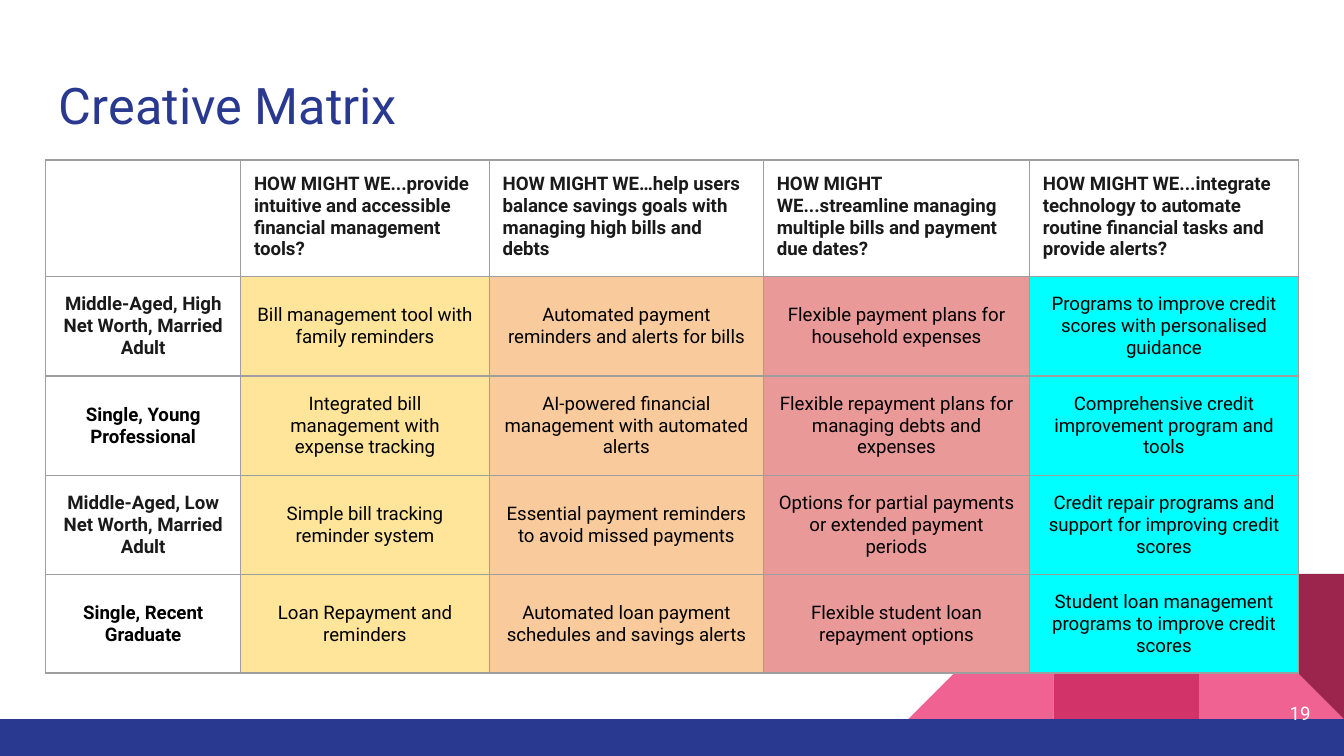
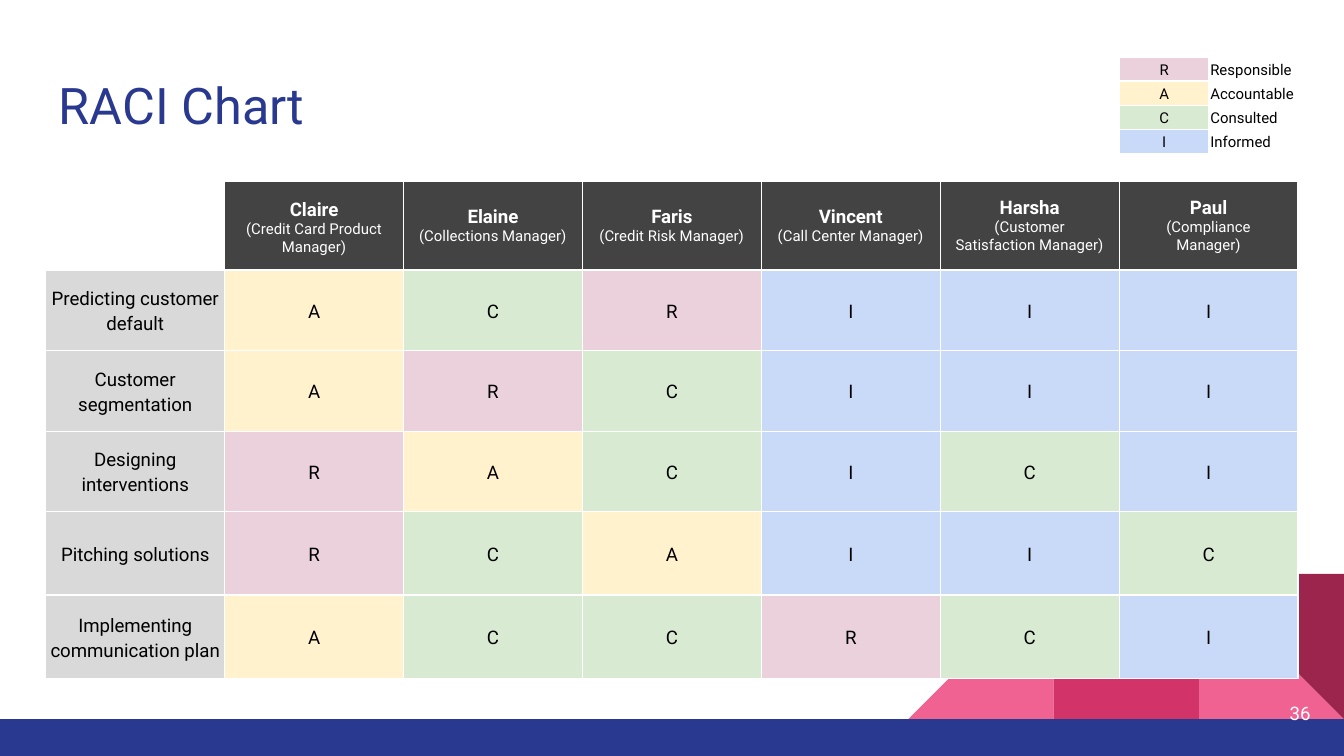
from dataclasses import dataclass

from lxml import etree
from pptx import Presentation
from pptx.dml.color import RGBColor
from pptx.enum import shapes, text
from pptx.oxml import ns
from pptx.util import Inches, Pt


@dataclass(frozen=True)
class Theme:
    font: str = "Roboto"
    title_size: float = 27
    body_size: float = 10
    small_size: float = 8
    navy: str = "2A3990"
    pink: str = "F06292"
    rose: str = "D23369"
    wine: str = "9C254D"
    white: str = "FFFFFF"
    black: str = "000000"
    ink: str = "1A1A1A"
    grid: str = "9E9E9E"
    header: str = "434343"
    label: str = "D9D9D9"


THEME = Theme()
LEFT, WIDTH = 0.34, 9.32
CENTER, RIGHT = text.PP_ALIGN.CENTER, text.PP_ALIGN.RIGHT
MIDDLE, TOP = text.MSO_ANCHOR.MIDDLE, text.MSO_ANCHOR.TOP

IDEA_COLUMNS = [1.45, 1.85, 2.04, 1.98, 2]
IDEA_ROWS = [0.79, 0.74, 0.74, 0.74, 0.73]
IDEA_FILLS = ["FFE599", "F9CB9C", "EA9999", "00FFFF"]
QUESTIONS = [
    "HOW MIGHT WE...provide intuitive and accessible financial management tools?",
    "HOW MIGHT WE…help users balance savings goals with managing high bills and debts",
    "HOW MIGHT WE...streamline managing multiple bills and payment due dates?",
    "HOW MIGHT WE...integrate technology to automate routine financial tasks and provide alerts?",
]
# Customer segment, label colour, one idea per question
SEGMENTS = [
    ("Middle-Aged, High Net Worth, Married Adult", THEME.ink, [
        "Bill management tool with family reminders",
        "Automated payment reminders and alerts for bills",
        "Flexible payment plans for household expenses",
        "Programs to improve credit scores with personalised guidance"]),
    ("Single, Young Professional", THEME.black, [
        "Integrated bill management with expense tracking",
        "AI-powered financial management with automated alerts",
        "Flexible repayment plans for managing debts and expenses",
        "Comprehensive credit improvement program and tools"]),
    ("Middle-Aged, Low Net Worth, Married Adult", THEME.ink, [
        "Simple bill tracking reminder system",
        "Essential payment reminders to avoid missed payments",
        "Options for partial payments or extended payment periods",
        "Credit repair programs and support for improving credit scores"]),
    ("Single, Recent Graduate", THEME.black, [
        "Loan Repayment and reminders",
        "Automated loan payment schedules and savings alerts",
        "Flexible student loan repayment options",
        "Student loan management programs to improve credit scores"]),
]

ROLES = {
    "R": ("Responsible", "EAD1DC"),
    "A": ("Accountable", "FFF2CC"),
    "C": ("Consulted", "D9EAD3"),
    "I": ("Informed", "C9DAF8"),
}
PEOPLE = [
    ("Claire", "(Credit Card Product Manager)"),
    ("Elaine", "(Collections Manager)"),
    ("Faris", "(Credit Risk Manager)"),
    ("Vincent", "(Call Center Manager)"),
    ("Harsha", "(Customer Satisfaction Manager)"),
    ("Paul", "(Compliance Manager)"),
]
TASKS = [
    ("Predicting customer default", "ACRIII"),
    ("Customer segmentation", "ARCIII"),
    ("Designing interventions", "RACICI"),
    ("Pitching solutions", "RCAIIC"),
    ("Implementing communication plan", "ACCRCI"),
]
RACI_ROWS = [0.62, 0.6, 0.6, 0.6, 0.62, 0.62]
LEGEND_ROWS = [0.11, 0.18, 0.18, 0.18]


def write(frame, value, *, size=THEME.body_size, color=THEME.black, bold=False,
          align=None, line=None, before=None, after=None):
    """Fill the frame's empty first paragraph, or append another one."""
    para = frame.paragraphs[0]
    if para.runs:
        para = frame.add_paragraph()
    para.alignment = align
    para.line_spacing = line
    para.space_before = None if before is None else Pt(before)
    para.space_after = None if after is None else Pt(after)
    span = para.add_run()
    span.text = value
    span.font.name = THEME.font
    span.font.size = Pt(size)
    span.font.bold = bold
    span.font.color.rgb = RGBColor.from_string(color)


def add_label(page, left, top, width, height, value, anchor=TOP, **style):
    box = page.shapes.add_textbox(*map(Inches, (left, top, width, height)))
    frame = box.text_frame
    frame.word_wrap = True
    frame.vertical_anchor = anchor
    frame.margin_left = frame.margin_right = Inches(0.1)
    frame.margin_top = frame.margin_bottom = Inches(0.1)
    write(frame, value, **style)


def add_block(holder, kind, left, top, width, height, color):
    block = holder.shapes.add_shape(kind, *map(Inches, (left, top, width, height)))
    block.shadow.inherit = False
    block.fill.solid()
    block.fill.fore_color.rgb = RGBColor.from_string(color)
    block.line.fill.background()
    return block


def add_decoration(page):
    """Folded ribbon in the corner and the band along the bottom."""
    triangle = shapes.MSO_SHAPE.RIGHT_TRIANGLE
    square = shapes.MSO_SHAPE.RECTANGLE
    side, top = 1.08, 4.27
    left, middle, right = (10 - side * count for count in (3, 2, 1))
    group = page.shapes.add_group_shape()
    add_block(group, triangle, right, top, side, side, THEME.pink)
    mirrored = add_block(group, triangle, left, top, side, side, THEME.pink)
    mirrored._element.spPr.get_or_add_xfrm().set("flipH", "1")
    add_block(group, square, middle, top, side, side, THEME.rose)
    add_block(group, triangle, right, top, side, side, THEME.wine).rotation = 180
    add_block(group, square, 0, 5.35, 10, 0.28, THEME.navy)


def add_page(deck, title):
    page = deck.slides.add_slide(deck.slide_layouts[6])
    add_decoration(page)
    add_label(page, LEFT, 0.45, WIDTH, 0.66, title,
              size=THEME.title_size, color=THEME.navy)
    return page


def add_page_number(page, number):
    add_label(page, 9.25, 5.09, 0.6, 0.43, number, MIDDLE,
              color=THEME.white, align=RIGHT)


def set_borders(cell, color):
    properties = cell._tc.get_or_add_tcPr()
    for side in ("lnL", "lnR", "lnT", "lnB"):
        edge = etree.SubElement(properties, ns.qn(f"a:{side}"), w=str(Pt(0.75)))
        fill = etree.SubElement(edge, ns.qn("a:solidFill"))
        etree.SubElement(fill, ns.qn("a:srgbClr"), val=color)


def add_grid(page, left, top, columns, rows, border):
    """Add a plain table with unfilled, bordered cells."""
    frame = page.shapes.add_table(
        len(rows), len(columns), Inches(left), Inches(top),
        Inches(sum(columns)), Inches(sum(rows)))
    table = frame.table
    table.first_row = table.horz_banding = False
    for column, width in zip(table.columns, columns):
        column.width = Inches(width)
    for row, height in zip(table.rows, rows):
        row.height = Inches(height)
    for cell in table.iter_cells():
        set_borders(cell, border)
        cell.fill.background()
    return table


def format_cell(cell, fill=None, margin=0.1, anchor=MIDDLE):
    """Set the cell's look and return its text frame."""
    cell.margin_left = cell.margin_right = Inches(margin)
    cell.margin_top = cell.margin_bottom = Inches(margin)
    cell.vertical_anchor = anchor
    if fill:
        cell.fill.solid()
        cell.fill.fore_color.rgb = RGBColor.from_string(fill)
    return cell.text_frame


def fill_tight(cell, value, fill, align=CENTER, size=THEME.body_size):
    write(format_cell(cell, fill, margin=0.01), value,
          size=size, align=align, line=1.15, before=12)


def add_creative_matrix(page):
    table = add_grid(page, LEFT, 1.19, IDEA_COLUMNS, IDEA_ROWS, THEME.grid)
    for column, question in enumerate(QUESTIONS, 1):
        write(format_cell(table.cell(0, column), anchor=TOP), question,
              color=THEME.ink, bold=True, before=12, after=12)
    for row, (segment, color, ideas) in enumerate(SEGMENTS, 1):
        write(format_cell(table.cell(row, 0)), segment,
              color=color, bold=True, align=CENTER)
        for column, (idea, fill) in enumerate(zip(ideas, IDEA_FILLS), 1):
            write(format_cell(table.cell(row, column), fill), idea, align=CENTER)


def add_raci_table(page):
    count = len(PEOPLE) + 1
    table = add_grid(page, LEFT, 1.35, [WIDTH / count] * count, RACI_ROWS, THEME.white)
    format_cell(table.cell(0, 0), THEME.white)
    for column, (name, job) in enumerate(PEOPLE, 1):
        frame = format_cell(table.cell(0, column), THEME.header)
        spacing = {"line": 1.15, "before": 12} if column == 1 else {}
        write(frame, name, color=THEME.white, bold=True, align=CENTER, **spacing)
        write(frame, job, size=THEME.small_size, color=THEME.white, align=CENTER)
    for row, (task, roles) in enumerate(TASKS, 1):
        fill_tight(table.cell(row, 0), task, THEME.label)
        for column, role in enumerate(roles, 1):
            fill_tight(table.cell(row, column), role, ROLES[role][1])


def add_legend(page):
    table = add_grid(page, 8.33, 0.43, [WIDTH / 14] * 2, LEGEND_ROWS, THEME.white)
    for row, (role, (meaning, fill)) in enumerate(ROLES.items()):
        fill_tight(table.cell(row, 0), role, fill, size=THEME.small_size)
        fill_tight(table.cell(row, 1), meaning, THEME.white, align=None,
                   size=THEME.small_size)


def main():
    deck = Presentation()
    deck.slide_width = Inches(10)
    deck.slide_height = Inches(10 * 9 / 16)

    matrix = add_page(deck, "Creative Matrix")
    add_page_number(matrix, "19")
    add_creative_matrix(matrix)

    raci = add_page(deck, "RACI Chart")
    add_raci_table(raci)
    add_page_number(raci, "36")
    add_legend(raci)

    deck.save("out.pptx")


if __name__ == "__main__":
    main()
